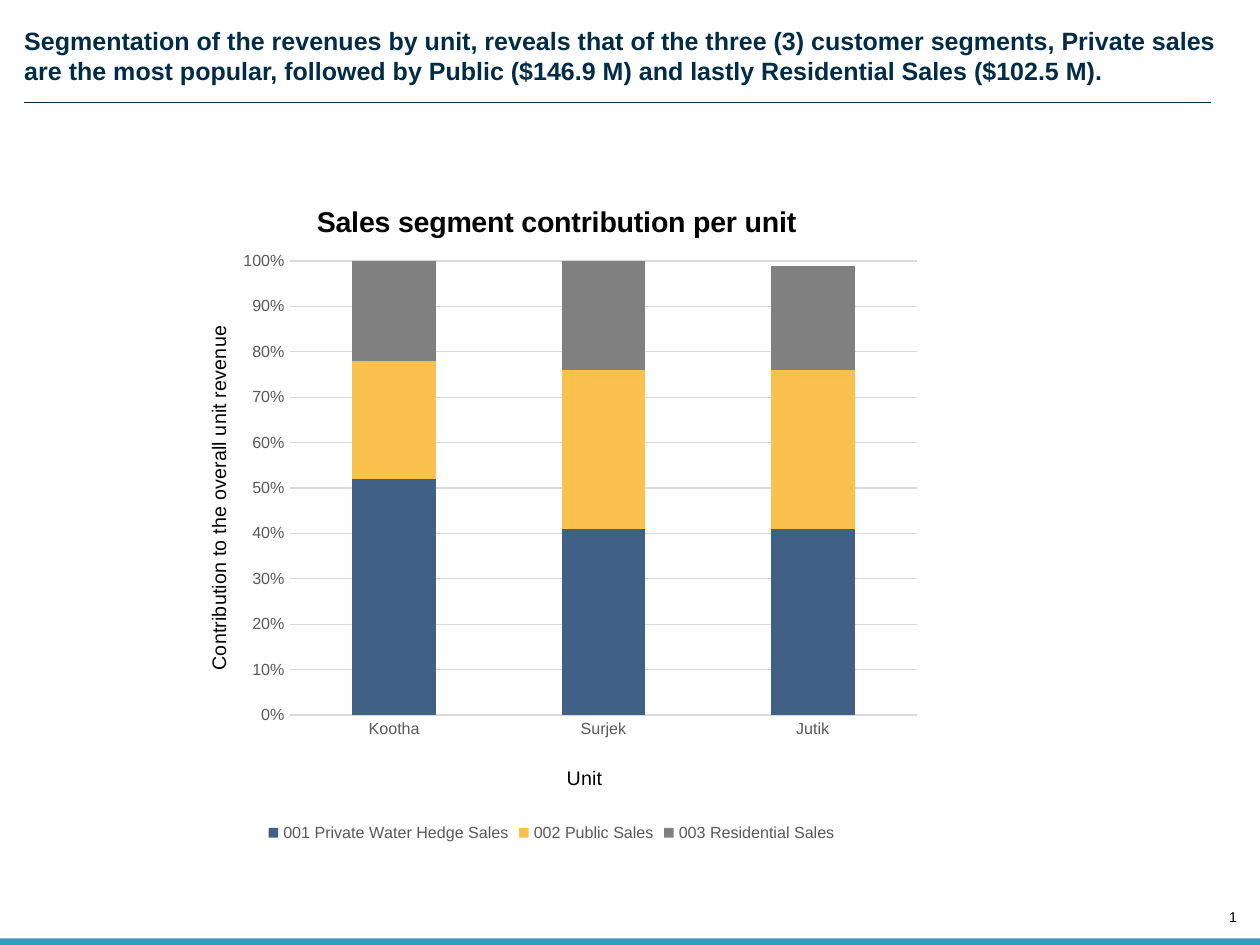
"""Build the slide on sales segments per unit."""
import dataclasses
import typing

import lxml.etree
import pptx
import pptx.chart.data
import pptx.dml.color
import pptx.enum.chart
import pptx.enum.shapes
import pptx.enum.text
import pptx.oxml.ns
import pptx.util

Cm = pptx.util.Cm
Pt = pptx.util.Pt
qn = pptx.oxml.ns.qn
ALIGN = pptx.enum.text.PP_ALIGN
ANCHOR = pptx.enum.text.MSO_ANCHOR
FONT = "Arial"
COLORS = {
    "navy": "002C46", "teal": "379BBD", "black": "000000",
    "text": "595959", "grid": "D9D9D9",
    "blue": "406085", "gold": "FBC14E", "gray": "808080",
}
UNITS = ["Kootha", "Surjek", "Jutik"]


@dataclasses.dataclass
class Label:
    words: str
    box: tuple[float, float, float, float]
    size: float
    color: str
    bold: bool = False
    align: typing.Any = ALIGN.LEFT
    anchor: typing.Any = ANCHOR.TOP
    wrap: bool = True


@dataclasses.dataclass
class Segment:
    name: str
    shares: list[float]
    color: str


LABELS = [
    Label("1", (24.08, 17.96, 0.36, 0.33), 8, "black",
          align=ALIGN.RIGHT, anchor=ANCHOR.BOTTOM, wrap=False),
    Label("Segmentation of the revenues by unit, reveals that of the three (3) "
          "customer segments, Private sales are the most popular, followed by "
          "Public ($146.9 M) and lastly Residential Sales ($102.5 M).",
          (0.48, 0.51, 24.28, 1.19), 14, "navy", bold=True),
]
SEGMENTS = [
    Segment("001 Private Water Hedge Sales", [0.52, 0.41, 0.41], "blue"),
    Segment("002 Public Sales", [0.26, 0.35, 0.35], "gold"),
    Segment("003 Residential Sales", [0.22, 0.24, 0.23], "gray"),
]


def tint(name: str) -> pptx.dml.color.RGBColor:
    return pptx.dml.color.RGBColor.from_string(COLORS[name])


def style(font: typing.Any, size: float, color: str, bold: bool = False) -> None:
    font.name = FONT
    font.size = Pt(size)
    font.bold = bold
    font.color.rgb = tint(color)


def rule(line: typing.Any, color: str) -> None:
    line.color.rgb = tint(color)
    line.width = Pt(0.75)


def write(frame: typing.Any, words: str, *, size: float, color: str,
          bold: bool = False, align: typing.Any = None) -> None:
    part = frame.paragraphs[0]
    part.alignment = align
    run = part.add_run()
    run.text = words
    style(run.font, size, color, bold)


def add_label(slide: typing.Any, label: Label) -> None:
    frame = slide.shapes.add_textbox(*map(Cm, label.box)).text_frame
    frame.margin_left = frame.margin_right = 0
    frame.margin_top = frame.margin_bottom = 0
    frame.word_wrap = label.wrap
    frame.vertical_anchor = label.anchor
    write(frame, label.words, size=label.size, color=label.color,
          bold=label.bold, align=label.align)


def add_trim(slide: typing.Any) -> None:
    band = slide.shapes.add_shape(
        pptx.enum.shapes.MSO_SHAPE.RECTANGLE, 0, Cm(18.54), Cm(24.89), Cm(0.13))
    band.shadow.inherit = False
    band.fill.solid()
    band.fill.fore_color.rgb = tint("teal")
    band.line.fill.background()
    line = slide.shapes.add_connector(
        pptx.enum.shapes.MSO_CONNECTOR.STRAIGHT,
        Cm(0.48), Cm(2.03), Cm(23.93), Cm(2.03))
    rule(line.line, "navy")
    lxml.etree.SubElement(line._element.spPr, qn("a:effectLst"))


def place(node: typing.Any, **spots: float) -> None:
    for old in node.findall(qn("c:layout")):
        node.remove(old)
    layout = lxml.etree.Element(qn("c:layout"))
    manual = lxml.etree.SubElement(layout, qn("c:manualLayout"))
    marks = {"xMode": "edge", "yMode": "edge", **spots}
    if "w" in spots:
        marks = {"layoutTarget": "inner", **marks}
    for key, value in marks.items():
        lxml.etree.SubElement(manual, qn(f"c:{key}")).set("val", str(value))
    text = node.find(qn("c:tx"))
    node.insert(0 if text is None else node.index(text) + 1, layout)


def add_title(title: typing.Any, words: str, size: float, x: float, y: float,
              bold: bool = False) -> None:
    write(title.text_frame, words, size=size, color="black", bold=bold)
    place(title._element, x=x, y=y)


def add_chart(slide: typing.Any) -> None:
    kinds = pptx.enum.chart
    data = pptx.chart.data.CategoryChartData(number_format="0%")
    data.categories = UNITS
    for part in SEGMENTS:
        data.add_series(part.name, part.shares)
    chart = slide.shapes.add_chart(
        kinds.XL_CHART_TYPE.COLUMN_STACKED,
        *map(Cm, (3.35, 3.35, 15.09, 13.39)), data).chart
    style(chart.font, 10, "black")
    plot = chart.plots[0]
    plot.gap_width = 150
    plot.overlap = 100
    plot.vary_by_categories = False
    for bar, part in zip(plot.series, SEGMENTS):
        bar.format.fill.solid()
        bar.format.fill.fore_color.rgb = tint(part.color)
    base, side = chart.category_axis, chart.value_axis
    for axis in (base, side):
        axis.major_tick_mark = axis.minor_tick_mark = kinds.XL_TICK_MARK.NONE
        style(axis.tick_labels.font, 9, "text")
    rule(base.format.line, "grid")
    side.format.line.fill.background()
    side.minimum_scale, side.maximum_scale, side.major_unit = 0, 1, 0.1
    side.tick_labels.number_format = "0%"
    side.tick_labels.number_format_is_linked = False
    rule(side.major_gridlines.format.line, "grid")
    chart.has_title = True
    add_title(chart.chart_title, "Sales segment contribution per unit",
              16, 0.186, 0.043, bold=True)
    add_title(base.axis_title, "Unit", 11, 0.515, 0.872)
    add_title(side.axis_title, "Contribution to the overall unit revenue",
              11, 0.042, 0.225)
    place(chart._chartSpace.chart.plotArea, x=0.157, y=0.135, w=0.822, h=0.67)
    chart.has_legend = True
    chart.legend.position = kinds.XL_LEGEND_POSITION.BOTTOM
    chart.legend.include_in_layout = False
    style(chart.legend.font, 9, "text")


def main() -> None:
    deck = pptx.Presentation()
    deck.slide_width, deck.slide_height = Cm(24.89), Cm(18.67)
    slide = deck.slides.add_slide(deck.slide_layouts[6])
    add_trim(slide)
    for label in LABELS:
        add_label(slide, label)
    add_chart(slide)
    deck.save("out.pptx")


if __name__ == "__main__":
    main()
